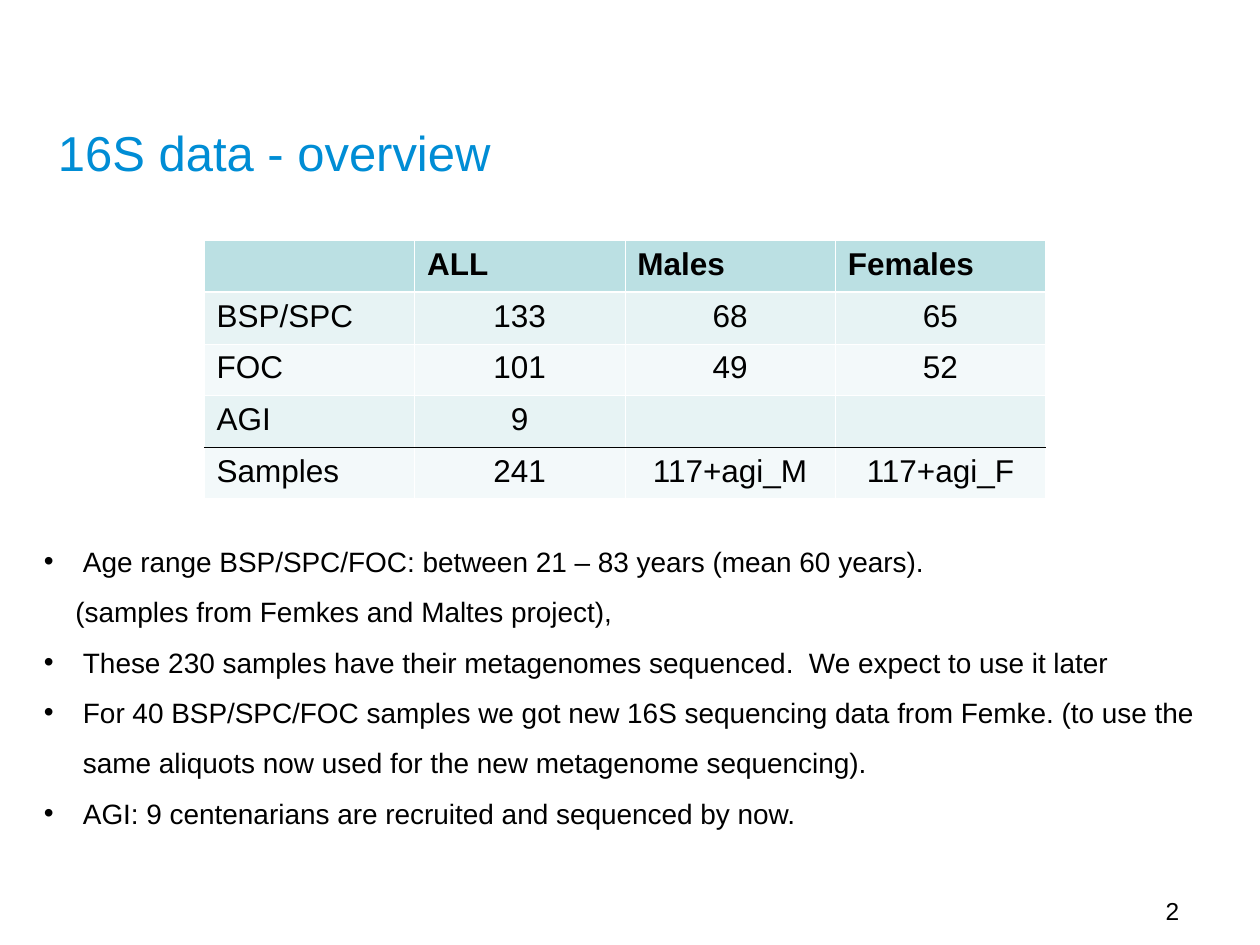
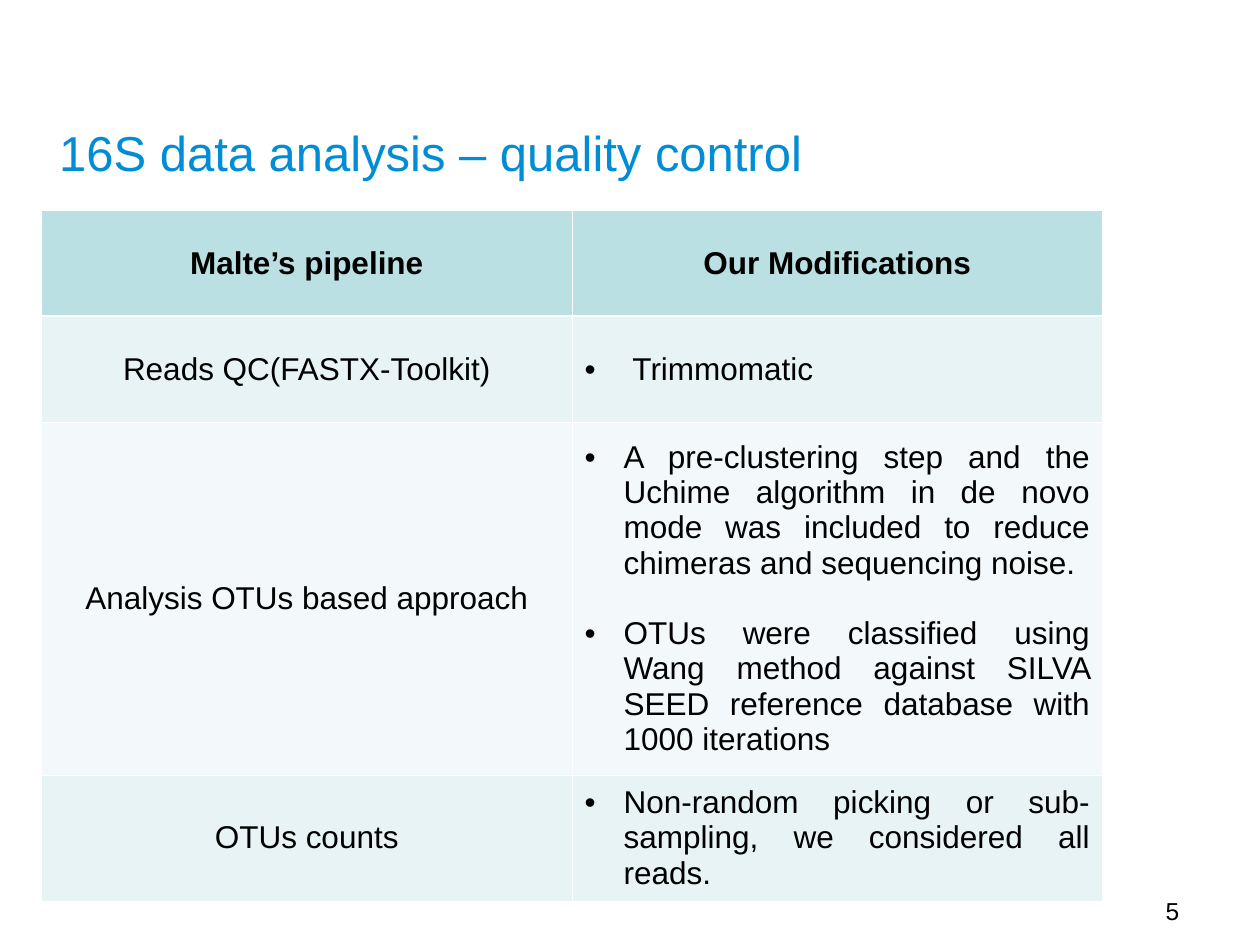
from lxml import etree
from pptx import Presentation
from pptx.dml.color import RGBColor
from pptx.enum.text import MSO_ANCHOR, MSO_AUTO_SIZE, PP_ALIGN
from pptx.oxml.ns import qn
from pptx.util import Inches, Pt

LEFT, CENTER, JUSTIFY = PP_ALIGN.LEFT, PP_ALIGN.CENTER, PP_ALIGN.JUSTIFY
TOP, MIDDLE = MSO_ANCHOR.TOP, MSO_ANCHOR.MIDDLE
GROW, FIXED = MSO_AUTO_SIZE.SHAPE_TO_FIT_TEXT, MSO_AUTO_SIZE.NONE
TITLE_ONLY = 5

FONT = "Arial"
BLACK = RGBColor(0x00, 0x00, 0x00)
WHITE = RGBColor(0xFF, 0xFF, 0xFF)
TITLE_BLUE = RGBColor(0x00, 0x8D, 0xD5)
HEADER_FILL = RGBColor(0xBB, 0xE0, 0xE3)
BAND_FILLS = [RGBColor(0xE7, 0xF3, 0xF4), RGBColor(0xF3, 0xF9, 0xFA)]
THIN, THICK = 0.45, 1.47
BULLET_INDENT = 0.31

# Content
OVERVIEW_TITLE = "16S data - overview"
SAMPLE_ROWS = [
    ("", "ALL", "Males", "Females"),
    ("BSP/SPC", "133", "68", "65"),
    ("FOC", "101", "49", "52"),
    ("AGI", "9", "", ""),
    ("Samples", "241", "117+agi_M", "117+agi_F"),
]
# Each note: text, whether it has a bullet
NOTES = [
    ("Age range BSP/SPC/FOC: between 21 – 83 years (mean 60 years).", True),
    ("(samples from Femkes and Maltes project),", False),
    ("These 230 samples have their metagenomes sequenced.  We expect to use it later", True),
    ("For 40 BSP/SPC/FOC samples we got new 16S sequencing data from Femke. "
     "(to use the same aliquots now used for the new metagenome sequencing).", True),
    ("AGI: 9 centenarians are recruited and sequenced by now.", True),
]

QUALITY_TITLE = "16S data analysis – quality control"
PIPELINE_HEADER = ("Malte’s pipeline", "Our Modifications")
# Each step: name, modifications, bullet indent
PIPELINE_STEPS = [
    ("Reads QC(FASTX-Toolkit)", ["Trimmomatic"], 0.38),
    ("Analysis OTUs based approach", [
        "A pre-clustering step and the Uchime algorithm in de novo mode was "
        "included to reduce chimeras and sequencing noise.",
        "OTUs were classified using Wang method against SILVA SEED reference "
        "database with 1000 iterations"], BULLET_INDENT),
    ("OTUs counts", ["Non-random picking or sub-sampling, we considered all reads."],
     BULLET_INDENT),
]
PIPELINE_ROW_HEIGHTS = [0.84, 0.84, 2.8, 1]


# Text helpers
def format_text(text_frame, size, color=BLACK, alignment=LEFT, bold=False):
    for paragraph in text_frame.paragraphs:
        paragraph.alignment = alignment
        for run in paragraph.runs:
            run.font.name = FONT
            run.font.size = Pt(size)
            run.font.bold = bold
            run.font.color.rgb = color


def set_indent(paragraph, margin, bullet=True):
    properties = paragraph._p.get_or_add_pPr()
    properties.set("marL", str(Inches(margin)))
    properties.set("indent", str(-Inches(margin) if bullet else 0))
    if bullet:
        bullet_color = etree.SubElement(properties, qn("a:buClr"))
        etree.SubElement(bullet_color, qn("a:srgbClr"), val=str(BLACK))
        etree.SubElement(properties, qn("a:buFont"), typeface=FONT)
        etree.SubElement(properties, qn("a:buChar"), char="•")
    else:
        etree.SubElement(properties, qn("a:buNone"))


def add_text_box(slide, left, top, width, height, text):
    box = slide.shapes.add_textbox(Inches(left), Inches(top), Inches(width), Inches(height))
    box.text_frame.word_wrap = True
    box.text_frame.auto_size = GROW
    box.text_frame.text = text
    return box.text_frame


# Slide frame: title and page number
def add_slide(presentation, title_text, title_left, title_width, page):
    slide = presentation.slides.add_slide(presentation.slide_layouts[TITLE_ONLY])
    title = slide.shapes.title
    title.left, title.top = Inches(title_left), Inches(0.92)
    title.width, title.height = Inches(title_width), Inches(0.57)
    text_frame = title.text_frame
    text_frame.text = title_text
    text_frame.word_wrap = True
    text_frame.auto_size = FIXED
    text_frame.vertical_anchor = TOP
    format_text(text_frame, 28, TITLE_BLUE)
    format_text(add_text_box(slide, 8.97, 7.06, 0.67, 0.34, page), 14, alignment=CENTER)
    return slide


# Table helpers
def set_borders(cell, top, bottom):
    """Top and bottom are (color, width); the sides are thin and white."""
    properties = cell._tc.get_or_add_tcPr()
    side = (WHITE, THIN)
    for tag, (color, width) in zip(("lnL", "lnR", "lnT", "lnB"), (side, side, top, bottom)):
        line = etree.SubElement(properties, qn(f"a:{tag}"), w=str(Pt(width)))
        fill = etree.SubElement(line, qn("a:solidFill"))
        etree.SubElement(fill, qn("a:srgbClr"), val=str(color))


def add_banded_table(slide, left, top, column_widths, row_heights, total_row=None):
    """A header over banded rows, with a black rule above total_row."""
    table = slide.shapes.add_table(
        len(row_heights), len(column_widths), Inches(left), Inches(top),
        Inches(sum(column_widths)), Inches(sum(row_heights))).table
    table.first_row = table.horz_banding = False
    for column, width in zip(table.columns, column_widths):
        column.width = Inches(width)

    rules = [(WHITE, THIN)] * (len(row_heights) + 1)
    rules[1] = (WHITE, THICK)
    if total_row is not None:
        rules[total_row] = (BLACK, THIN)
    for index, (row, height) in enumerate(zip(table.rows, row_heights)):
        row.height = Inches(height)
        for cell in row.cells:
            set_borders(cell, rules[index], rules[index + 1])
            cell.fill.solid()
            cell.fill.fore_color.rgb = BAND_FILLS[(index - 1) % 2] if index else HEADER_FILL
    return table


def fill_cell(cell, text, alignment, bold=False, anchor=TOP):
    cell.text_frame.text = text
    cell.vertical_anchor = anchor
    format_text(cell.text_frame, 18, BLACK, alignment, bold)


# Slides
def build_overview(presentation):
    slide = add_slide(presentation, OVERVIEW_TITLE, 0.36, 3.8, "2")

    # Notes below the table
    notes = add_text_box(slide, 0.25, 4.14, 9.42, 2.5, "\n".join(text for text, _ in NOTES))
    format_text(notes, 16)
    for paragraph, (_, bullet) in zip(notes.paragraphs, NOTES):
        paragraph.line_spacing = 1.5
        set_indent(paragraph, BULLET_INDENT if bullet else 0.25, bullet)

    # Sample counts
    table = add_banded_table(slide, 1.62, 1.91, [1.67] * 4, [0.41] * len(SAMPLE_ROWS),
                             total_row=len(SAMPLE_ROWS) - 1)
    for row, values in enumerate(SAMPLE_ROWS):
        for column, value in enumerate(values):
            alignment = CENTER if row and column else LEFT
            fill_cell(table.cell(row, column), value, alignment, bold=row == 0)


def build_quality_control(presentation):
    slide = add_slide(presentation, QUALITY_TITLE, 0.37, 6.3, "5")
    table = add_banded_table(slide, 0.33, 1.67, [4.21] * 2, PIPELINE_ROW_HEIGHTS)
    for column, heading in enumerate(PIPELINE_HEADER):
        fill_cell(table.cell(0, column), heading, CENTER, bold=True, anchor=MIDDLE)

    # Pipeline steps and what was changed in each
    for row, (step, modifications, indent) in enumerate(PIPELINE_STEPS, start=1):
        fill_cell(table.cell(row, 0), step, CENTER, anchor=MIDDLE)
        cell = table.cell(row, 1)
        fill_cell(cell, "\n".join(modifications), JUSTIFY, anchor=MIDDLE)
        paragraphs = cell.text_frame.paragraphs
        for paragraph in paragraphs:
            set_indent(paragraph, indent)
        for paragraph in paragraphs[1:]:
            paragraph.space_before = Pt(20)


def main():
    presentation = Presentation()
    presentation.slide_width, presentation.slide_height = Inches(10), Inches(7.5)
    build_overview(presentation)
    build_quality_control(presentation)
    presentation.save("out.pptx")


if __name__ == "__main__":
    main()
